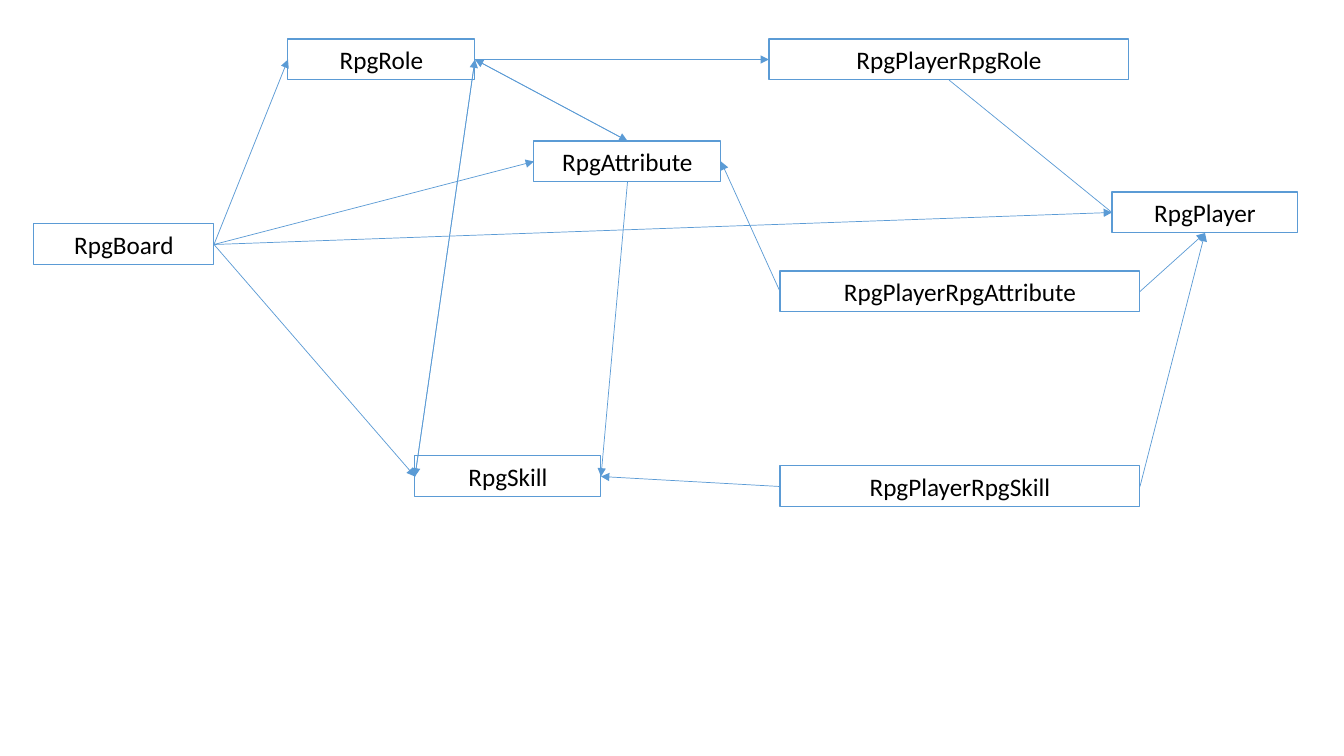
from pptx import Presentation
from pptx import util as u
from pptx.dml.color import RGBColor
from pptx.enum import shapes, text
from pptx.oxml.ns import qn
from lxml import etree

PX = u.Inches(1) / 100.8
BLUE = RGBColor(0x5B, 0x9B, 0xD5)
BLACK = RGBColor(0, 0, 0)
TOP, LEFT, BOTTOM, RIGHT = range(4)  # connection sites of a rectangle
BOX_H = 41


def px(n):
    return u.Emu(round(n * PX))


prs = Presentation()
prs.slide_width, prs.slide_height = px(1344), px(756)
s = prs.slides.add_slide(prs.slide_layouts[6])

# name, left, top, width
entities = [
    ("RpgBoard", 34, 224, 180),
    ("RpgAttribute", 534, 141, 187),
    ("RpgSkill", 415, 456, 186),
    ("RpgRole", 288, 39, 187),
    ("RpgPlayer", 1112, 192, 186),
    ("RpgPlayerRpgRole", 769, 39, 360),
    ("RpgPlayerRpgAttribute", 780, 271, 360),
    ("RpgPlayerRpgSkill", 780, 466, 360),
]
frame_format = {
    "word_wrap": True,
    "auto_size": text.MSO_AUTO_SIZE.SHAPE_TO_FIT_TEXT,
    "vertical_anchor": text.MSO_ANCHOR.TOP,
}
font_format = {"name": "Calibri", "size": u.Pt(18)}

boxes = {}
for name, left, top, width in entities:
    sp = s.shapes.add_shape(shapes.MSO_SHAPE.RECTANGLE,
                            px(left), px(top), px(width), px(BOX_H))
    sp.shadow.inherit = False
    sp.fill.background()
    sp.line.color.rgb = BLUE
    sp.line.width = u.Pt(0.75)
    tf = sp.text_frame
    for key, value in frame_format.items():
        setattr(tf, key, value)
    p = tf.paragraphs[0]
    p.alignment = text.PP_ALIGN.CENTER
    r = p.add_run()
    r.text = name
    for key, value in font_format.items():
        setattr(r.font, key, value)
    r.font.color.rgb = BLACK
    boxes[name] = sp

# start box, its site, end box, its site, arrowhead at the end
relations = [
    ("RpgBoard", RIGHT, "RpgAttribute", LEFT, True),
    ("RpgBoard", RIGHT, "RpgSkill", LEFT, True),
    ("RpgBoard", RIGHT, "RpgRole", LEFT, True),
    ("RpgAttribute", BOTTOM, "RpgSkill", RIGHT, True),
    ("RpgRole", RIGHT, "RpgSkill", LEFT, True),
    ("RpgSkill", LEFT, "RpgRole", RIGHT, True),
    ("RpgRole", RIGHT, "RpgAttribute", TOP, True),
    ("RpgAttribute", TOP, "RpgRole", RIGHT, True),
    ("RpgRole", RIGHT, "RpgPlayerRpgRole", LEFT, True),
    ("RpgPlayerRpgAttribute", LEFT, "RpgAttribute", RIGHT, True),
    ("RpgPlayerRpgSkill", LEFT, "RpgSkill", RIGHT, True),
    ("RpgPlayerRpgAttribute", RIGHT, "RpgPlayer", BOTTOM, True),
    ("RpgPlayerRpgSkill", RIGHT, "RpgPlayer", BOTTOM, True),
    ("RpgPlayerRpgRole", BOTTOM, "RpgPlayer", LEFT, False),
    ("RpgBoard", RIGHT, "RpgPlayer", LEFT, True),
]
for start, start_site, end, end_site, arrow in relations:
    cn = s.shapes.add_connector(shapes.MSO_CONNECTOR.STRAIGHT, 0, 0, 0, 0)
    cn.begin_connect(boxes[start], start_site)
    cn.end_connect(boxes[end], end_site)
    cn.line.color.rgb = BLUE
    cn.line.width = u.Pt(0.5)
    if arrow:
        ln = cn.line._get_or_add_ln()
        etree.SubElement(ln, qn("a:tailEnd"), type="triangle")
    etree.SubElement(cn._element.spPr, qn("a:effectLst"))

prs.save("out.pptx")
